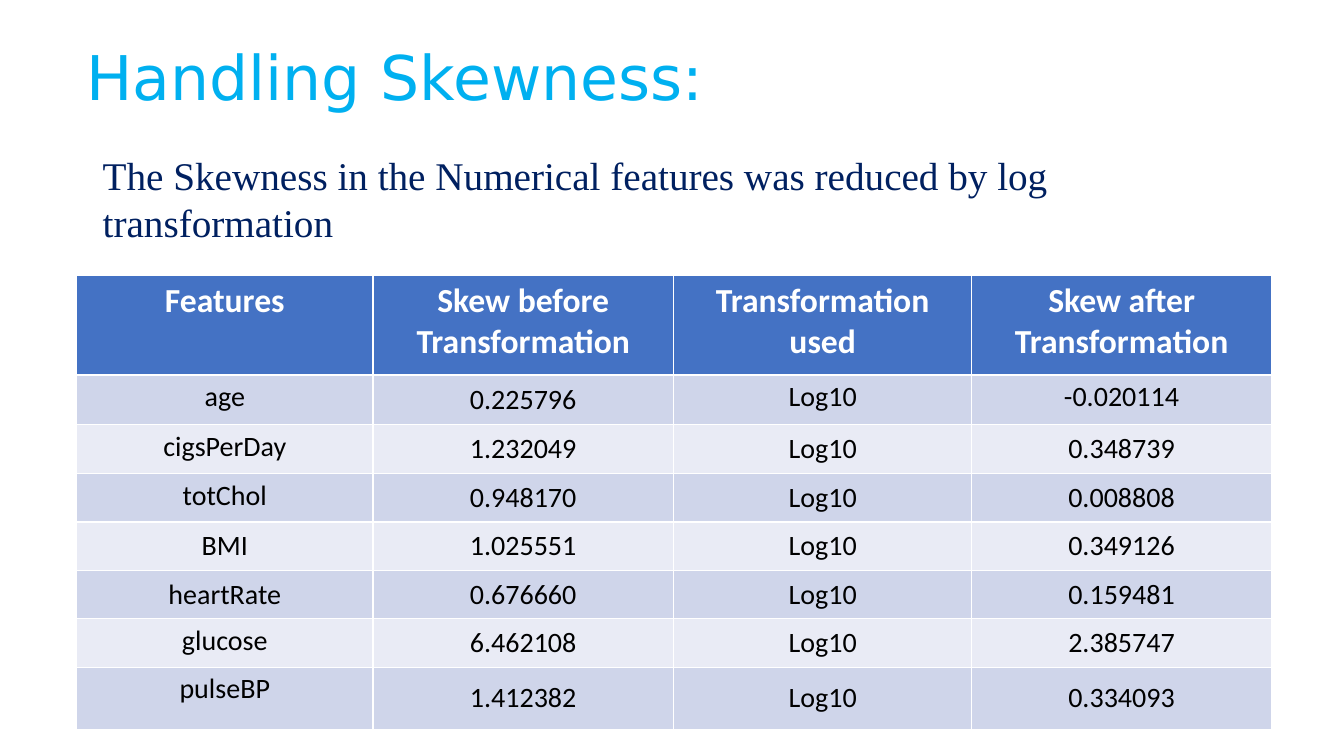
from pptx import Presentation
from pptx.dml.color import RGBColor
from pptx.enum.text import MSO_ANCHOR, PP_ALIGN
from pptx.util import Inches, Pt

COLORS = {
    "title": "00B0F0",
    "summary": "002060",
    "header": "4472C4",
    "header_text": "FFFFFF",
    "odd_row": "CFD5EA",
    "even_row": "E9EBF5",
    "body_text": "000000",
}

HEADINGS = ["Features", "Skew before Transformation", "Transformation used", "Skew after Transformation"]
SKEWNESS = [
    ("age", "0.225796", "-0.020114"),
    ("cigsPerDay", "1.232049", "0.348739"),
    ("totChol", "0.948170", "0.008808"),
    ("BMI", "1.025551", "0.349126"),
    ("heartRate", "0.676660", "0.159481"),
    ("glucose", "6.462108", "2.385747"),
    ("pulseBP", "1.412382", "0.334093"),
]
COLUMN_WIDTHS = [2.94, 2.98, 2.96, 2.97]
ROW_HEIGHTS = [0.99, 0.49, 0.49, 0.48, 0.48, 0.48, 0.48, 0.62]
TOP_ANCHORED = {(1, 0), (1, 2), (1, 3), (2, 0), (3, 0), (6, 0), (7, 0)}


def format_paragraph(paragraph, font_name, size, color, alignment, bold=False):
    paragraph.alignment = alignment
    paragraph.font.name = font_name
    paragraph.font.size = Pt(size)
    paragraph.font.bold = bold
    paragraph.font.color.rgb = RGBColor.from_string(COLORS[color])


presentation = Presentation()
presentation.slide_width = Inches(13.33)
presentation.slide_height = Inches(7.5)
slide = presentation.slides.add_slide(presentation.slide_layouts[5])

title = slide.shapes.title
title.left, title.top = Inches(0.76), Inches(0.07)
title.width, title.height = Inches(11.5), Inches(1.45)
title.text_frame.text = "Handling Skewness:"
title.text_frame.vertical_anchor = MSO_ANCHOR.MIDDLE
title_paragraph = title.text_frame.paragraphs[0]
title_paragraph.line_spacing = 0.9
format_paragraph(title_paragraph, "DejaVu Sans", 44, "title", PP_ALIGN.LEFT)

rows = [HEADINGS] + [(feature, before, "Log10", after) for feature, before, after in SKEWNESS]
table = slide.shapes.add_table(
    len(rows), len(HEADINGS), Inches(0.76), Inches(2.73),
    Inches(sum(COLUMN_WIDTHS)), Inches(sum(ROW_HEIGHTS)),
).table
for column, width in zip(table.columns, COLUMN_WIDTHS):
    column.width = Inches(width)
for row, height in zip(table.rows, ROW_HEIGHTS):
    row.height = Inches(height)

for row_index, values in enumerate(rows):
    is_header = row_index == 0
    fill = "header" if is_header else "odd_row" if row_index % 2 else "even_row"
    text_color = "header_text" if is_header else "body_text"
    for column_index, value in enumerate(values):
        cell = table.cell(row_index, column_index)
        cell.text = value
        cell.fill.solid()
        cell.fill.fore_color.rgb = RGBColor.from_string(COLORS[fill])
        at_top = is_header or (row_index, column_index) in TOP_ANCHORED
        cell.vertical_anchor = MSO_ANCHOR.TOP if at_top else MSO_ANCHOR.MIDDLE
        format_paragraph(
            cell.text_frame.paragraphs[0], "Calibri", 24 if is_header else 20,
            text_color, PP_ALIGN.CENTER, is_header,
        )

summary = slide.shapes.add_textbox(Inches(0.92), Inches(1.45), Inches(10.62), Inches(1.04))
summary.text_frame.word_wrap = True
summary.text_frame.text = "The Skewness in the Numerical features was reduced by log transformation"
format_paragraph(summary.text_frame.paragraphs[0], "Times New Roman", 28, "summary", PP_ALIGN.LEFT)

presentation.save("out.pptx")
